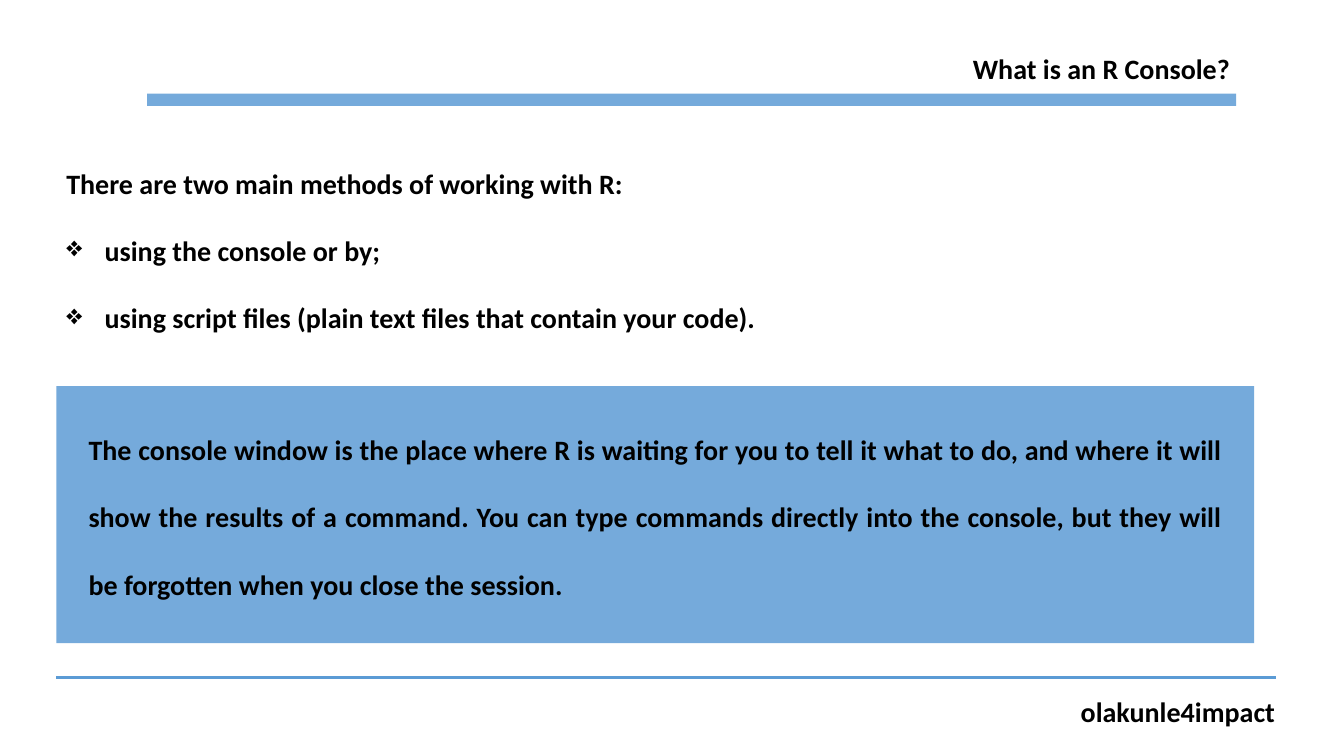
import pptx
import pptx.util
import pptx.dml.color
import pptx.enum.shapes
import pptx.enum.text
import lxml.etree

PX = 9144
BLACK = pptx.dml.color.RGBColor(0x00, 0x00, 0x00)
PANEL_BLUE = pptx.dml.color.RGBColor(0x75, 0xAA, 0xDB)
RULE_BLUE = pptx.dml.color.RGBColor(0x5B, 0x9B, 0xD5)

INTRO = "There are two main methods of working with R:"
METHODS = (
    "using the console or by;",
    "using script files (plain text files that contain your code).",
)
EXPLANATION = (
    "The console window is the place where R is waiting for you to tell it "
    "what to do, and where it will show the results of a command. You can type "
    "commands directly into the console, but they will be forgotten when you "
    "close the session."
)


def emu(*lengths):
    return [pptx.util.Emu(length * PX) for length in lengths]


def add_block(slide, left, top, width, height):
    block = slide.shapes.add_shape(
        pptx.enum.shapes.MSO_SHAPE.RECTANGLE, *emu(left, top, width, height))
    block.shadow.inherit = False
    block.fill.solid()
    block.fill.fore_color.rgb = PANEL_BLUE
    block.line.fill.background()


def add_text(slide, left, top, width, height, *lines):
    frame = slide.shapes.add_textbox(*emu(left, top, width, height)).text_frame
    frame.word_wrap = True
    frame.text = "\n".join(lines)
    for paragraph in frame.paragraphs:
        paragraph.font.name = "Calibri"
        paragraph.font.size = pptx.util.Pt(20)
        paragraph.font.bold = True
        paragraph.font.color.rgb = BLACK
    return frame.paragraphs


def add_bullet(paragraph):
    properties = paragraph._p.get_or_add_pPr()
    indent = 38 * PX
    properties.set("marL", str(indent))
    properties.set("indent", str(-indent))
    bullet = lxml.etree.SubElement(properties, pptx.oxml.ns.qn("a:buChar"))
    bullet.set("char", "❖")


def add_header(slide, left, top, width, height):
    bar_height = 12
    add_block(slide, left, top + height - bar_height, width, bar_height)
    title_width = 289
    add_text(slide, left + width + 18 - title_width, top, title_width, 44,
             "What is an R Console?")


def add_methods(slide, left, top, width, height):
    intro, *methods = add_text(slide, left, top, width, height, INTRO, *METHODS)
    for method in methods:
        method.space_before = pptx.util.Pt(24)
        add_bullet(method)


def add_explanation(slide, left, top, width, height):
    add_block(slide, left, top, width, height)
    margin = 22
    explanation, = add_text(slide, left + margin, top + 8, width - 2 * margin, 212,
                            EXPLANATION)
    explanation.alignment = pptx.enum.text.PP_ALIGN.JUSTIFY
    explanation.line_spacing = 2.0


def add_footer(slide, left, top, width, height):
    rule = slide.shapes.add_connector(
        pptx.enum.shapes.MSO_CONNECTOR.STRAIGHT, *emu(left, top, left + width, top))
    rule.line.color.rgb = RULE_BLUE
    rule.line.width = pptx.util.Pt(2.25)
    lxml.etree.SubElement(rule._element.spPr, pptx.oxml.ns.qn("a:effectLst"))
    author_width, author_height = 232, 44
    add_text(slide, left + width + 28 - author_width, top + height - author_height,
             author_width, author_height, "olakunle4impact")


def main():
    deck = pptx.Presentation()
    deck.slide_width, deck.slide_height = emu(1333, 750)
    slide = deck.slides.add_slide(deck.slide_layouts[6])
    add_header(slide, 146, 46, 1080, 59)
    add_methods(slide, 56, 160, 1134, 178)
    add_explanation(slide, 56, 383, 1188, 255)
    add_footer(slide, 56, 672, 1210, 56)
    deck.save("out.pptx")


if __name__ == "__main__":
    main()
